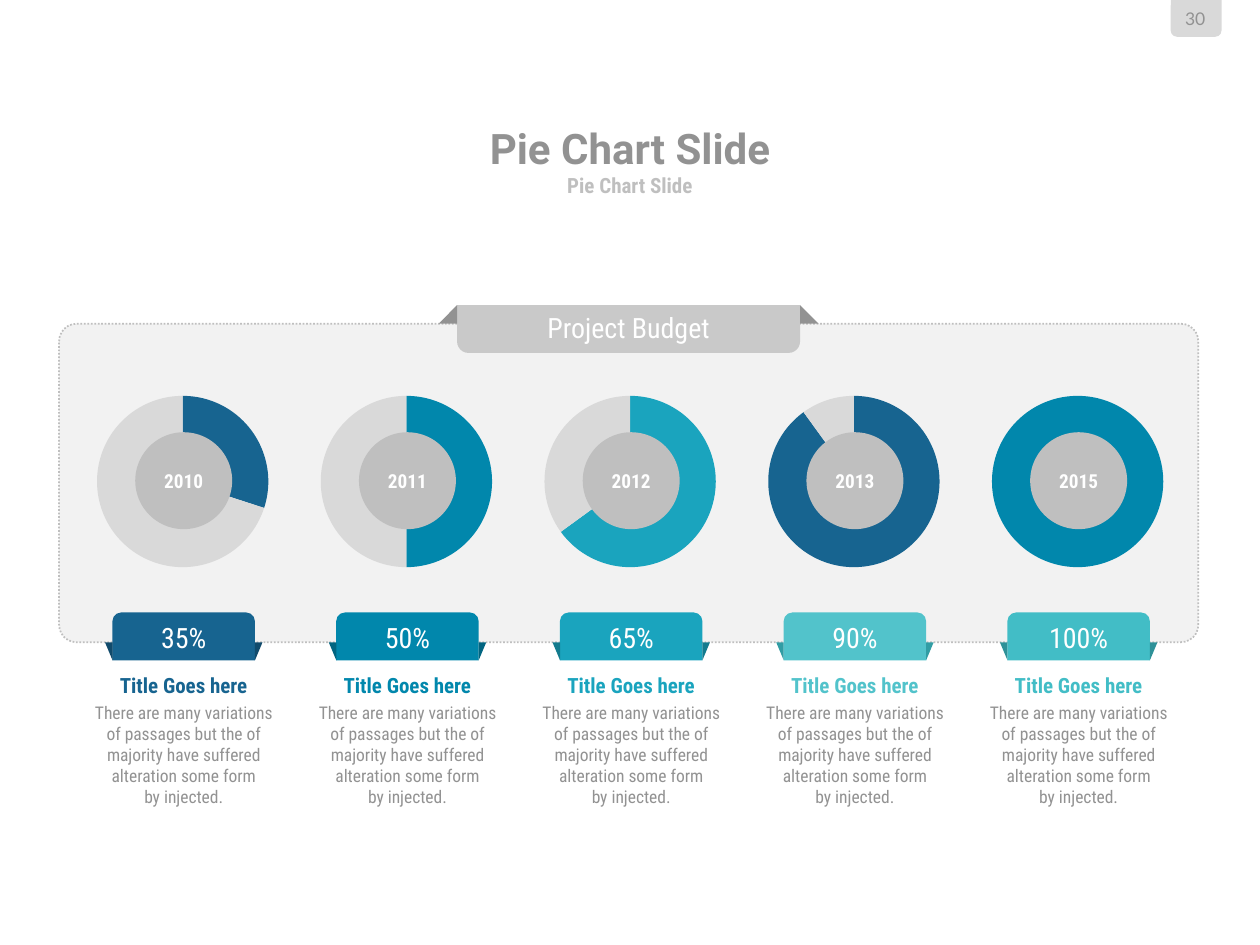
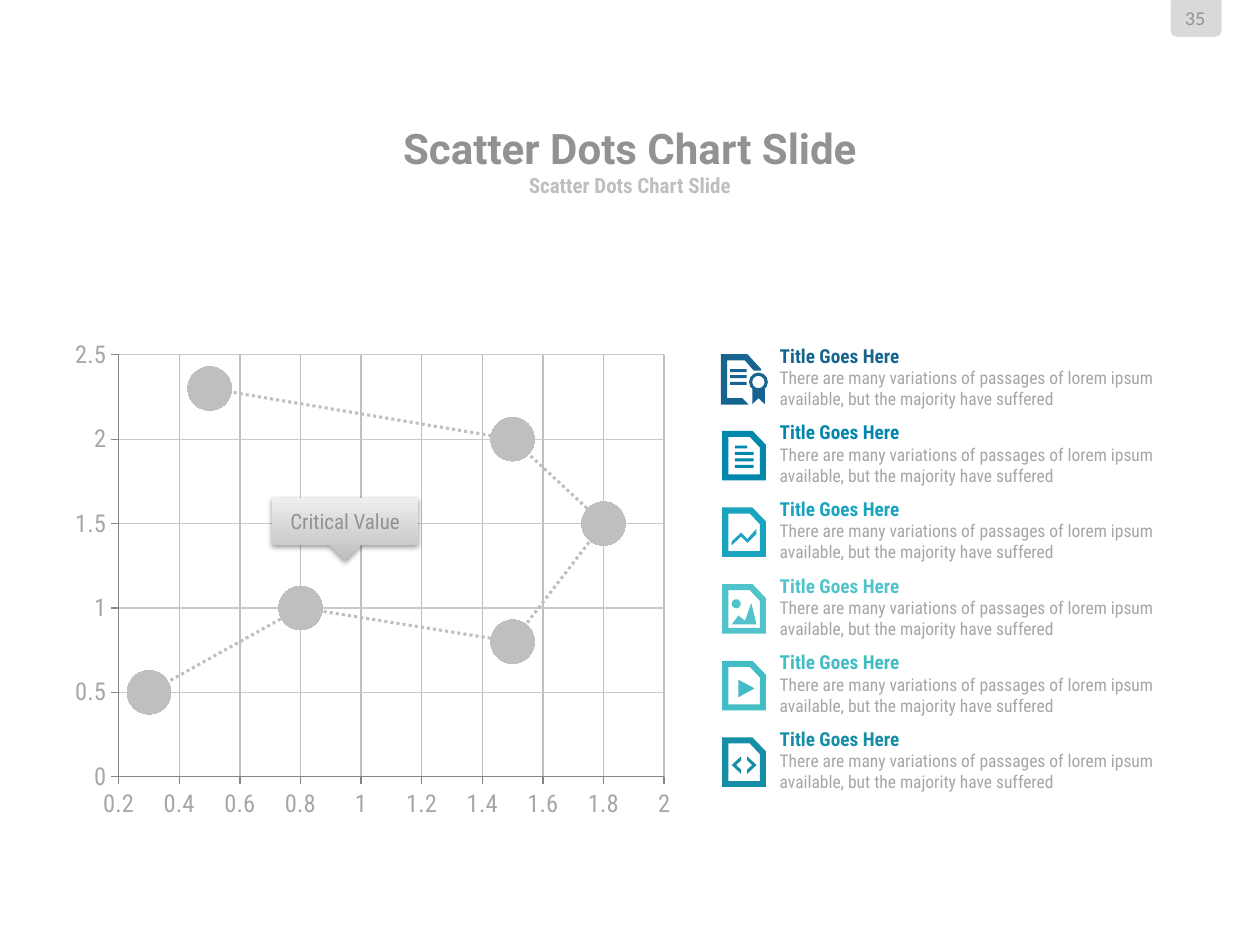
"""Build a doughnut budget slide and a scatter chart slide."""
from pptx import Presentation
from pptx.chart.data import CategoryChartData, XyChartData
from pptx.dml.color import RGBColor
from pptx.enum.chart import XL_CHART_TYPE as Kind, XL_MARKER_STYLE as Mark, XL_TICK_MARK as Tick
from pptx.enum.dml import MSO_LINE as Dash
from pptx.enum.shapes import MSO_SHAPE as Form
from pptx.enum.text import MSO_ANCHOR as Anchor, MSO_AUTO_SIZE as Fit, PP_ALIGN as Align
from pptx.oxml import parse_xml
from pptx.oxml.ns import nsdecls
from pptx.util import Pt

COLORS = {
    "navy": "176490", "blue": "0187AC", "cyan": "1AA4BE",
    "aqua": "52C3CB", "mint": "42BDC6", "teal": "168EA6",
    "navy fold": "114B6C", "blue fold": "016581", "cyan fold": "137B8E",
    "aqua fold": "319DA4", "mint fold": "2E9198",
    "white": "FFFFFF", "panel": "F2F2F2", "pale": "D9D9D9", "band": "C9C9C9",
    "silver": "BFBFBF", "label": "A6A6A6", "gray": "929292", "axis": "868686",
    "low": "BEBEBE", "high": "EEEEEE",
}
HEAD, BODY, NUM = "Roboto", "Roboto Condensed", "Lato"

BUDGET = "Project Budget"
YEARS = [
    ("2010", "35%", (30, 70), ("navy", "pale"), "navy"),
    ("2011", "50%", (50, 50), ("blue", "pale"), "blue"),
    ("2012", "65%", (65, 35), ("cyan", "pale"), "cyan"),
    ("2013", "90%", (90, 10), ("navy", "pale"), "aqua"),
    ("2015", "100%", (0, 100), ("navy", "blue"), "mint"),
]
YEAR_HEAD = "Title Goes here"
YEAR_TEXT = ("There are many variations of passages but the of majority "
             "have suffered alteration some form\nby injected.")

DOTS = [(0.3, 0.5), (0.8, 1), (1.5, 0.8), (1.8, 1.5), (1.5, 2), (0.5, 2.3)]
KEY_DOT = 1
KEY_TEXT = "Critical Value"
ITEM_HEAD = "Title Goes Here"
ITEM_TEXT = ("There are many variations of passages of lorem ipsum available, "
             "but the majority have suffered")

SHEET = ("poly", [[(0, 0), (17.3, 0), (25, 8), (25, 28.3), (0, 28.3)],
                  [(3.5, 3.5), (15.8, 3.5), (21.5, 9.5), (21.5, 25), (3.5, 25)]])
ICONS = [
    ("navy", [
        ("poly", [[(11.5, 25.2), (2.9, 25.2), (2.9, 3.6), (13, 3.6), (18, 9.4), (22.3, 9.4),
                   (22.3, 8.6), (14.4, 0), (-0.7, 0), (-0.7, 28.8), (15.1, 28.8)]]),
        ("ring", (15.3, 10.5, 10.8, 10.8)),
        ("poly", [[(17.3, 19.8), (20.8, 21), (24.4, 19.8), (24.4, 28.6),
                   (20.8, 25.2), (17.3, 28.6)]]),
        *[("bar", (4.6, y, 9.4, 1.7)) for y in (8.6, 12, 15.9)]]),
    ("blue", [
        SHEET, ("bar", (7.2, 8.4, 7, 1.7)),
        *[("bar", (7.2, y, 10.8, 1.7)) for y in (12.1, 15.8, 19.5)]]),
    ("cyan", [
        SHEET,
        ("poly", [[(10.8, 14.4), (5.4, 19.4), (5.4, 21.6), (10.8, 16.6), (14.4, 20.2),
                   (19.6, 15.1), (19.6, 12.2), (14.4, 18)]])]),
    ("aqua", [
        SHEET, ("dot", (5.4, 8.6, 5.2, 5.2)),
        ("poly", [[(9.2, 18), (5.4, 23), (19.6, 23), (16.6, 10.8), (13, 20.9)]])]),
    ("mint", [SHEET, ("poly", [[(9.2, 20.9), (18.5, 15.8), (9.2, 10.8)]])]),
    ("teal", [
        SHEET,
        ("poly", [[(5.4, 15.8), (10.8, 20.9), (10.8, 18.5), (7.9, 15.8),
                   (10.8, 13.1), (10.8, 10.8)]]),
        ("poly", [[(19.6, 15.8), (14.2, 20.9), (14.2, 18.5), (17.1, 15.8),
                   (14.2, 13.1), (14.2, 10.8)]])]),
]
FORMS = {"bar": Form.RECTANGLE, "dot": Form.OVAL, "ring": Form.DONUT}


def tint(name):
    return RGBColor.from_string(COLORS[name])


def paint(fill, name):
    fill.solid()
    fill.fore_color.rgb = tint(name)


def style(font, size, color, bold=False, face=BODY):
    font.name, font.size, font.bold = face, Pt(size), bold
    font.color.rgb = tint(color)


def write(frame, lines, align=Align.CENTER, anchor=Anchor.MIDDLE, pad=None, gap=0):
    """Fill a frame with (text, size, color, bold, face) lines."""
    frame.word_wrap, frame.auto_size = True, Fit.NONE
    frame.vertical_anchor = anchor
    if pad is not None:
        frame.margin_left = frame.margin_right = Pt(pad)
        frame.margin_top = frame.margin_bottom = Pt(pad)
    for i, (text, *look) in enumerate(lines):
        par = frame.add_paragraph() if i else frame.paragraphs[0]
        par.text, par.alignment = text, align
        par.space_before = Pt(gap if i else 0)
        style(par.font, *look)


def place(shape, x, y, w, h):
    shape.left, shape.top, shape.width, shape.height = Pt(x), Pt(y), Pt(w), Pt(h)


def draw(slide, form, box, color, adj=(), line=None, spin=0):
    """Add a flat preset shape that covers the box after its turn."""
    x, y, w, h = box
    if spin % 180:
        x, y, w, h = x + (w - h) / 2, y + (h - w) / 2, h, w
    shape = slide.shapes.add_shape(form, Pt(x), Pt(y), Pt(w), Pt(h))
    shape.shadow.inherit = False
    shape.rotation = spin
    paint(shape.fill, color)
    for i, part in enumerate(adj):
        shape.adjustments[i] = part
    if line:
        shape.line.color.rgb = tint(line)
        shape.line.width, shape.line.dash_style = Pt(1), Dash.ROUND_DOT
    else:
        shape.line.fill.background()
    return shape


def trace(slide, x, y, rings, color):
    first, *rest = [[(round(a * 100), round(b * 100)) for a, b in ring] for ring in rings]
    pen = slide.shapes.build_freeform(*first[0], scale=Pt(1) / 100)
    pen.add_line_segments(first[1:])
    for ring in rest:
        pen.move_to(*ring[0])
        pen.add_line_segments(ring[1:])
    shape = pen.convert_to_shape(Pt(x), Pt(y))
    shape.shadow.inherit = False
    paint(shape.fill, color)
    shape.line.fill.background()


def note(slide, box, lines, **opts):
    area = slide.shapes.add_textbox(*map(Pt, box))
    write(area.text_frame, lines, **opts)


def plot(slide, kind, box, data, size, color, inner):
    """Add a chart whose plot fills the inner share of its box."""
    chart = slide.shapes.add_chart(kind, *map(Pt, box), data).chart
    chart.has_legend = chart.has_title = False
    style(chart.font, size, color)
    area = chart._chartSpace.xpath("c:chart/c:plotArea")[0]
    for old in area.xpath("c:layout"):
        area.remove(old)
    rows = "".join(f'<c:{k} val="{v}"/>' for k, v in zip("xywh", inner))
    area.insert(0, parse_xml(
        f'<c:layout {nsdecls("c")}><c:manualLayout><c:layoutTarget val="inner"/>'
        f'<c:xMode val="edge"/><c:yMode val="edge"/>{rows}</c:manualLayout></c:layout>'))
    return chart


def start(deck, title, page):
    slide = deck.slides.add_slide(deck.slide_layouts[1])
    draw(slide, Form.ROUND_2_SAME_RECTANGLE, (669, 0, 29, 21), "pale", (0, 0.17))
    note(slide, (671, 4.3, 24, 12.5), [(page, 10, "gray", False, NUM)], pad=0)
    head, sub = slide.placeholders
    place(head, 138, 70.6, 444, 28)
    place(sub, 198, 98, 324, 16)
    props = sub.text_frame.paragraphs[0]._p.get_or_add_pPr()
    props.set("marL", "0")
    props.set("indent", "0")
    props.append(parse_xml(f'<a:buNone {nsdecls("a")}/>'))
    write(head.text_frame, [(title, 24, "gray", True, HEAD)], pad=0)
    write(sub.text_frame, [(title, 12, "silver", True)], pad=0)
    return slide


def ring(slide, mid, parts, hues):
    data = CategoryChartData()
    data.categories = ["1", "2"]
    data.add_series("Series 1", parts)
    chart = plot(slide, Kind.DOUGHNUT, (mid - 59, 212.3, 118, 124.6), data, 18, "gray",
                 (0.08, 0.11, 0.83, 0.79))
    pie = chart.plots[0]
    pie.has_data_labels = False
    pie.vary_by_categories = True
    pie._element.xpath("c:holeSize")[0].set("val", "70")
    for i, hue in enumerate(hues):
        look = pie.series[0].points[i].format
        paint(look.fill, hue)
        look.line.fill.background()


def budget(deck):
    slide = start(deck, "Pie Chart Slide", "30")
    draw(slide, Form.ROUNDED_RECTANGLE, (33.8, 185, 651, 182), "panel", (0.055,), "silver")
    band = draw(slide, Form.ROUND_2_SAME_RECTANGLE, (261.2, 174.4, 196, 27.3), "band", (0, 0.24))
    write(band.text_frame, [(BUDGET, 16, "white")])
    for x, spin in ((250.6, 270), (457.2, 0)):
        draw(slide, Form.RIGHT_TRIANGLE, (x, 174.4, 10.6, 10.6), "gray", spin=spin)
    for i, (year, share, parts, hues, hue) in enumerate(YEARS):
        mid = 105 + 127.85 * i
        ring(slide, mid, parts, hues)
        tag = draw(slide, Form.ROUND_2_SAME_RECTANGLE, (mid - 40.7, 350, 81.4, 27.3),
                   hue, (0.18, 0))
        write(tag.text_frame, [(share, 16, "white")])
        for x, spin in ((mid - 45, 180), (mid + 40.7, 90)):
            draw(slide, Form.RIGHT_TRIANGLE, (x, 367, 4.3, 10.3), hue + " fold", spin=spin)
        hub = draw(slide, Form.OVAL, (mid - 27.7, 247, 55.4, 55.4), "silver")
        write(hub.text_frame, [(year, 11, "white", True)], pad=0)
        note(slide, (mid - 60.8, 381, 121.6, 85),
             [(YEAR_HEAD, 12, hue, True), (YEAR_TEXT, 10, "gray")], anchor=Anchor.TOP, gap=2)


def scatter(slide):
    data = XyChartData()
    row = data.add_series("Series 1")
    for x, y in DOTS:
        row.add_data_point(x, y)
    chart = plot(slide, Kind.XY_SCATTER_LINES, (36, 188.6, 354.2, 283.7), data, 14, "label",
                 (0.09, 0.05, 0.88, 0.85))
    for axis, low, high, step, grid in ((chart.category_axis, 0.2, 2, 0.2, "silver"),
                                        (chart.value_axis, 0, 2.5, 0.5, "band")):
        axis.minimum_scale, axis.maximum_scale, axis.major_unit = low, high, step
        axis.major_tick_mark, axis.minor_tick_mark = Tick.OUTSIDE, Tick.NONE
        axis.has_major_gridlines = True
        for line, hue in ((axis.major_gridlines.format.line, grid), (axis.format.line, "axis")):
            line.color.rgb, line.width = tint(hue), Pt(0.75)
    chart.plots[0].vary_by_categories = False
    dots = chart.plots[0].series[0]
    dots.smooth = False
    line = dots.format.line
    line.color.rgb, line.width, line.dash_style = tint("silver"), Pt(1.75), Dash.ROUND_DOT
    for mark, hue in ((dots.marker, "silver"), (dots.points[KEY_DOT].marker, "blue")):
        mark.style, mark.size = Mark.CIRCLE, 25
        paint(mark.format.fill, hue)
        mark.format.line.fill.background()
    key = dots.points[KEY_DOT].format.line
    key.color.rgb, key.width, key.dash_style = tint("silver"), Pt(1.75), Dash.ROUND_DOT


def callout(slide):
    box = draw(slide, Form.DOWN_ARROW_CALLOUT, (155.5, 284.4, 83.5, 36), "low",
               (0.25, 0.25, 0.25, 0.75))
    box.fill.gradient()
    box.fill.gradient_angle = 90
    for stop, hue, spot in zip(box.fill.gradient_stops, ("low", "high"), (0, 1)):
        stop.color.rgb, stop.position = tint(hue), spot
    glow = box._element.spPr.xpath("a:effectLst")[0]
    glow.append(parse_xml(
        f'<a:outerShdw {nsdecls("a")} blurRad="{Pt(3.1)}" dist="{Pt(1.6)}" dir="5400000" '
        'rotWithShape="0"><a:srgbClr val="000000"><a:alpha val="38000"/></a:srgbClr>'
        '</a:outerShdw>'))
    write(box.text_frame, [(KEY_TEXT, 12, "gray")])


def critical(deck):
    slide = start(deck, "Scatter Dots Chart Slide", "35")
    scatter(slide)
    for i, (hue, parts) in enumerate(ICONS):
        left, top = 412.7, 202.4 + 43.8 * i
        for kind, data in parts:
            if kind == "poly":
                trace(slide, left, top, data, hue)
            else:
                x, y, w, h = data
                adj = (0.17,) if kind == "ring" else ()
                draw(slide, FORMS[kind], (left + x, top + y, w, h), hue, adj)
        note(slide, (438.5, top - 9.4, 235.4, 46),
             [(ITEM_HEAD, 11, hue, True), (ITEM_TEXT, 10, "label")],
             align=Align.LEFT, anchor=Anchor.TOP)
    callout(slide)


def main():
    deck = Presentation()
    deck.slide_width, deck.slide_height = Pt(720), Pt(540)
    budget(deck)
    critical(deck)
    deck.save("out.pptx")


if __name__ == "__main__":
    main()
